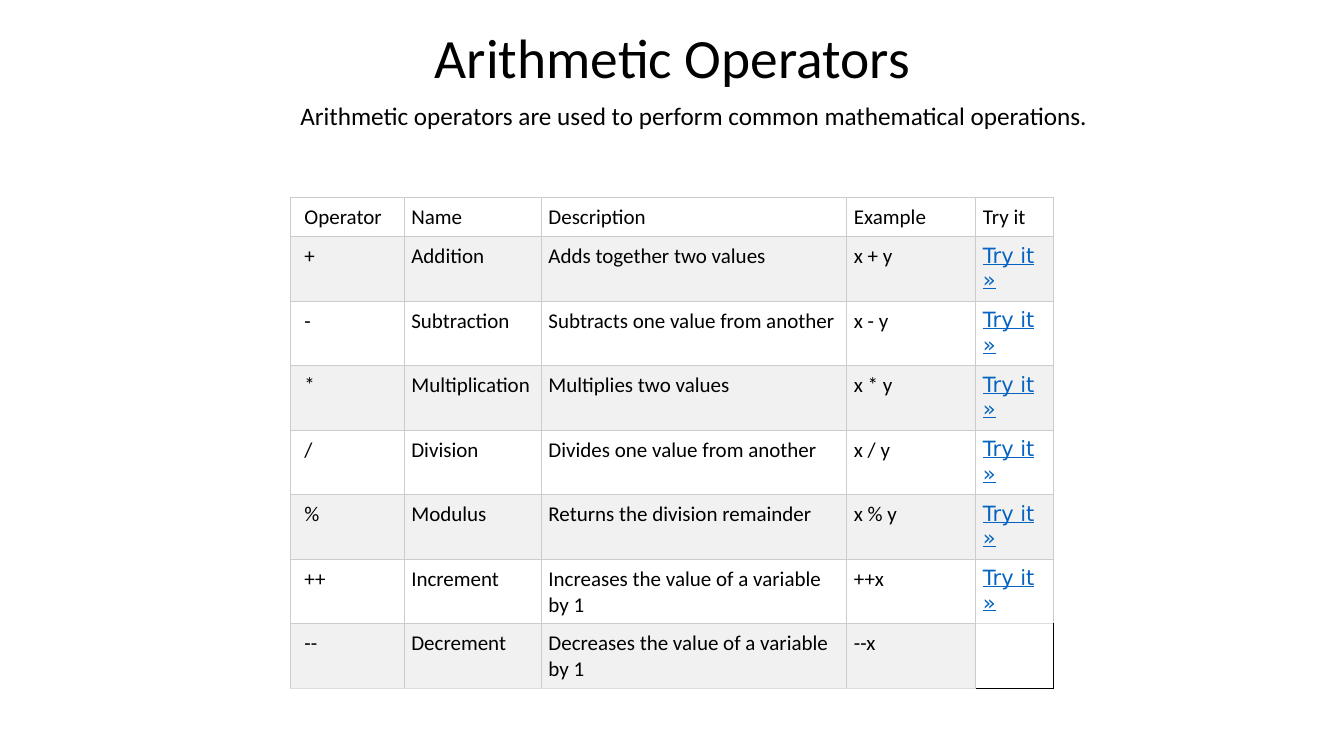
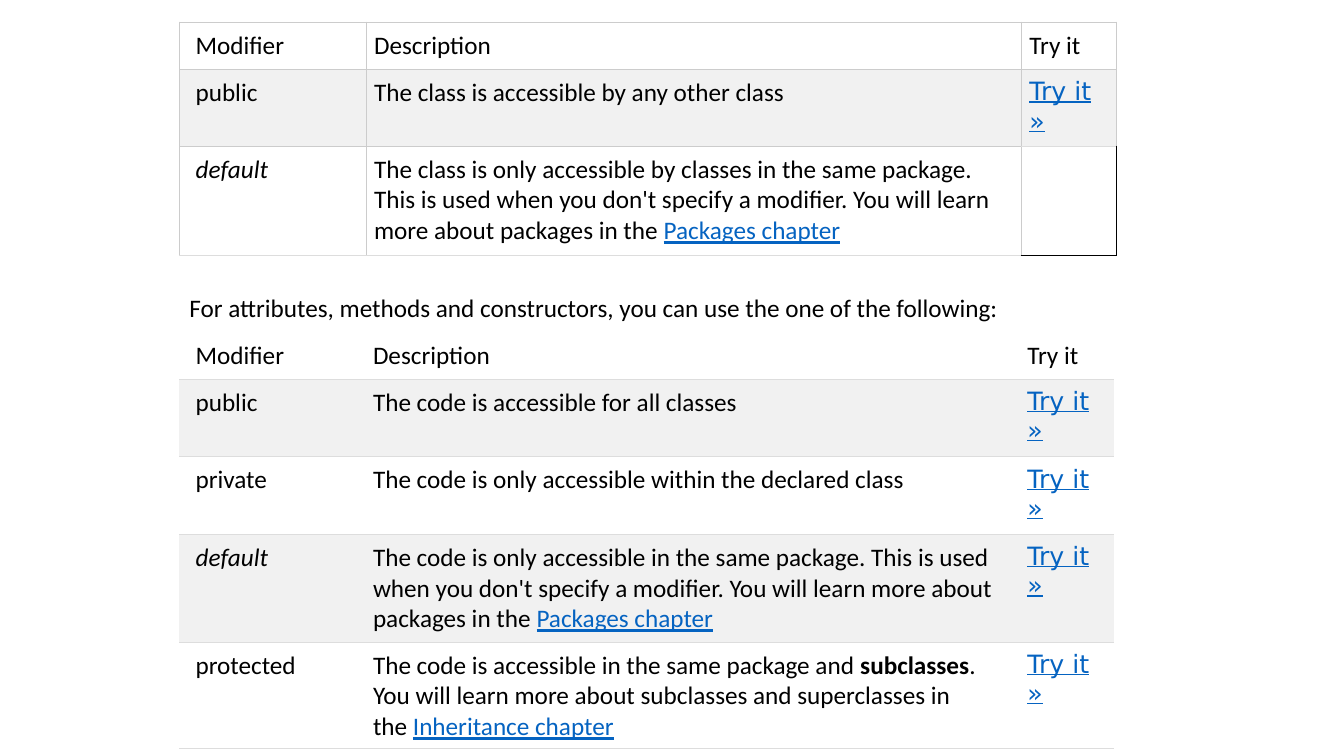
"""Build two slides of Java operator and access modifier tables."""
import pptx
import pptx.dml.color
import pptx.enum.text
import pptx.oxml
import pptx.oxml.ns
import pptx.util

Inches = pptx.util.Inches
RGBColor = pptx.dml.color.RGBColor

BLACK = RGBColor(0x00, 0x00, 0x00)
WHITE = RGBColor(0xFF, 0xFF, 0xFF)
BAND = RGBColor(0xF1, 0xF1, 0xF1)
GRID = RGBColor(0xCC, 0xCC, 0xCC)
RULE = RGBColor(0xDD, 0xDD, 0xDD)
LINK_BLUE = RGBColor(0x05, 0x63, 0xC1)

PLAIN = {"name": "Calibri", "bold": False, "italic": False, "underline": False}
ITALIC = {"italic": True}
BOLD = {"bold": True}
LINK = {"underline": True, "color": LINK_BLUE}
TRY_IT = [("Try it »", {**LINK, "name": "DejaVu Sans"})]
DEFAULT = [("default", ITALIC)]
PACKAGES = ("Packages chapter", LINK)


class Deck:
    """Hold the shared style and the current slide."""

    def __init__(self):
        self.presentation = pptx.Presentation()
        self.presentation.slide_width = Inches(13.33)
        self.presentation.slide_height = Inches(7.5)
        self.slide = None

    def add_slide(self):
        """Start a blank white slide."""
        self.slide = self.presentation.slides.add_slide(self.presentation.slide_layouts[6])
        self.slide.background.fill.solid()
        self.slide.background.fill.fore_color.rgb = WHITE

    def add_runs(self, paragraph, content, size):
        """Add a string or a list of styled pieces as runs."""
        pieces = [(content, {})] if isinstance(content, str) else content
        for text, style in pieces:
            run = paragraph.add_run()
            run.text = text
            values = {**PLAIN, "size": pptx.util.Pt(size), "color": BLACK, **style}
            run.font.color.rgb = values.pop("color")
            for key, value in values.items():
                setattr(run.font, key, value)

    def text(self, box, content, size, frame_format=None, paragraph_format=None):
        """Add a wrapped text box."""
        shape = self.slide.shapes.add_textbox(*map(Inches, box))
        frame = shape.text_frame
        paragraph = frame.paragraphs[0]
        for target, values in (
            (frame, {"word_wrap": True, **(frame_format or {})}),
            (paragraph, paragraph_format or {}),
        ):
            for key, value in values.items():
                setattr(target, key, value)
        self.add_runs(paragraph, content, size)

    def title(self, content):
        """Add the centred slide title."""
        self.text(
            (0.92, 0.4, 11.5, 0.4), content, 39.6,
            {"vertical_anchor": pptx.enum.text.MSO_ANCHOR.MIDDLE},
            {"alignment": pptx.enum.text.PP_ALIGN.CENTER, "line_spacing": 0.9},
        )

    def border(self, cell, colors, width):
        """Draw the four cell edges, leaving out those without a colour."""
        properties = cell._tc.get_or_add_tcPr()
        for side in "LRTB":
            color = colors.get(side)
            paint = (
                f'<a:solidFill><a:srgbClr val="{color}"/></a:solidFill>'
                if color is not None else "<a:noFill/>"
            )
            properties.append(pptx.oxml.parse_xml(
                f'<a:ln{side} {pptx.oxml.ns.nsdecls("a")} w="{pptx.util.Pt(width)}">'
                f"{paint}</a:ln{side}>"
            ))

    def edges(self, rows, row, column, boxed):
        """Return the edge colours of one cell."""
        if not boxed:
            return {"B": RULE, **({"T": RULE} if row else {})}
        colors = dict.fromkeys("LRTB", GRID)
        if row == len(rows) - 1:
            colors["B"] = RULE
        if rows[row][column] == "":
            colors.update(T=RULE, R=BLACK, B=BLACK)
        elif row + 1 < len(rows) and rows[row + 1][column] == "":
            colors["B"] = RULE
        return colors

    def table(self, left, top, widths, heights, rows, size, margin, boxed=True):
        """Add a striped table with a wider left margin in its first column."""
        frame = self.slide.shapes.add_table(
            len(rows), len(widths), Inches(left), Inches(top),
            Inches(sum(widths)), Inches(sum(heights)),
        )
        table = frame.table
        table.first_row = table.horz_banding = False
        for column, width in zip(table.columns, widths):
            column.width = Inches(width)
        for table_row, height in zip(table.rows, heights):
            table_row.height = Inches(height)
        for row, contents in enumerate(rows):
            for column, content in enumerate(contents):
                cell = table.cell(row, column)
                self.border(cell, self.edges(rows, row, column, boxed), 0.75)
                if content == "":
                    cell.fill.background()
                    continue
                cell.fill.solid()
                cell.fill.fore_color.rgb = BAND if row % 2 else WHITE
                for side in ("left", "right", "top", "bottom"):
                    setattr(cell, f"margin_{side}", Inches(margin))
                if column == 0:
                    cell.margin_left = Inches(2 * margin)
                self.add_runs(cell.text_frame.paragraphs[0], content, size)


deck = Deck()

deck.add_slide()
deck.title("Arithmetic Operators")
operators = [
    ("Operator", "Name", "Description", "Example", "Try it"),
    ("+", "Addition", "Adds together two values", "x + y", TRY_IT),
    ("-", "Subtraction", "Subtracts one value from another", "x - y", TRY_IT),
    ("*", "Multiplication", "Multiplies two values", "x * y", TRY_IT),
    ("/", "Division", "Divides one value from another", "x / y", TRY_IT),
    ("%", "Modulus", "Returns the division remainder", "x % y", TRY_IT),
    ("++", "Increment", "Increases the value of a variable by 1", "++x", TRY_IT),
    ("--", "Decrement", "Decreases the value of a variable by 1", "--x", ""),
]
deck.table(2.88, 1.96, [1.13, 1.36, 3.03, 1.28, 0.77], [0.38] + [0.63] * 7, operators, 15, 0.07)
deck.text(
    (2.88, 0.95, 8.02, 0.71),
    "Arithmetic operators are used to perform common mathematical operations.", 18,
)

deck.add_slide()
modifier_header = ("Modifier", "Description", "Try it")
class_modifiers = [
    modifier_header,
    ("public", "The class is accessible by any other class", TRY_IT),
    (DEFAULT, [
        ("The class is only accessible by classes in the same package. This is used when you "
         "don't specify a modifier. You will learn more about packages in the\u00a0", {}),
        PACKAGES,
    ], ""),
]
deck.table(1.78, 0.22, [1.85, 6.5, 0.94], [0.47, 0.75, 1.08], class_modifiers, 18, 0.08)
deck.text(
    (1.78, 2.85, 9.93, 0.71),
    "For attributes, methods and constructors, you can use the one of the following:", 18,
)
member_modifiers = [
    modifier_header,
    ("public", "The code is accessible for all classes", TRY_IT),
    ("private", "The code is only accessible within the declared class", TRY_IT),
    (DEFAULT, [
        ("The code is only accessible in the same package. This is used when you don't specify "
         "a modifier. You will learn more about packages in the\u00a0", {}),
        PACKAGES,
    ], TRY_IT),
    ("protected", [
        ("The code is accessible in the same package and\u00a0", {}),
        ("subclasses", BOLD),
        (". You will learn more about subclasses and superclasses in the\u00a0", {}),
        ("Inheritance chapter", LINK),
    ], TRY_IT),
]
deck.table(
    1.78, 3.3, [1.84, 6.49, 0.94], [0.46, 0.77, 0.77, 1.07, 1.06],
    member_modifiers, 18, 0.08, boxed=False,
)

deck.presentation.save("out.pptx")
